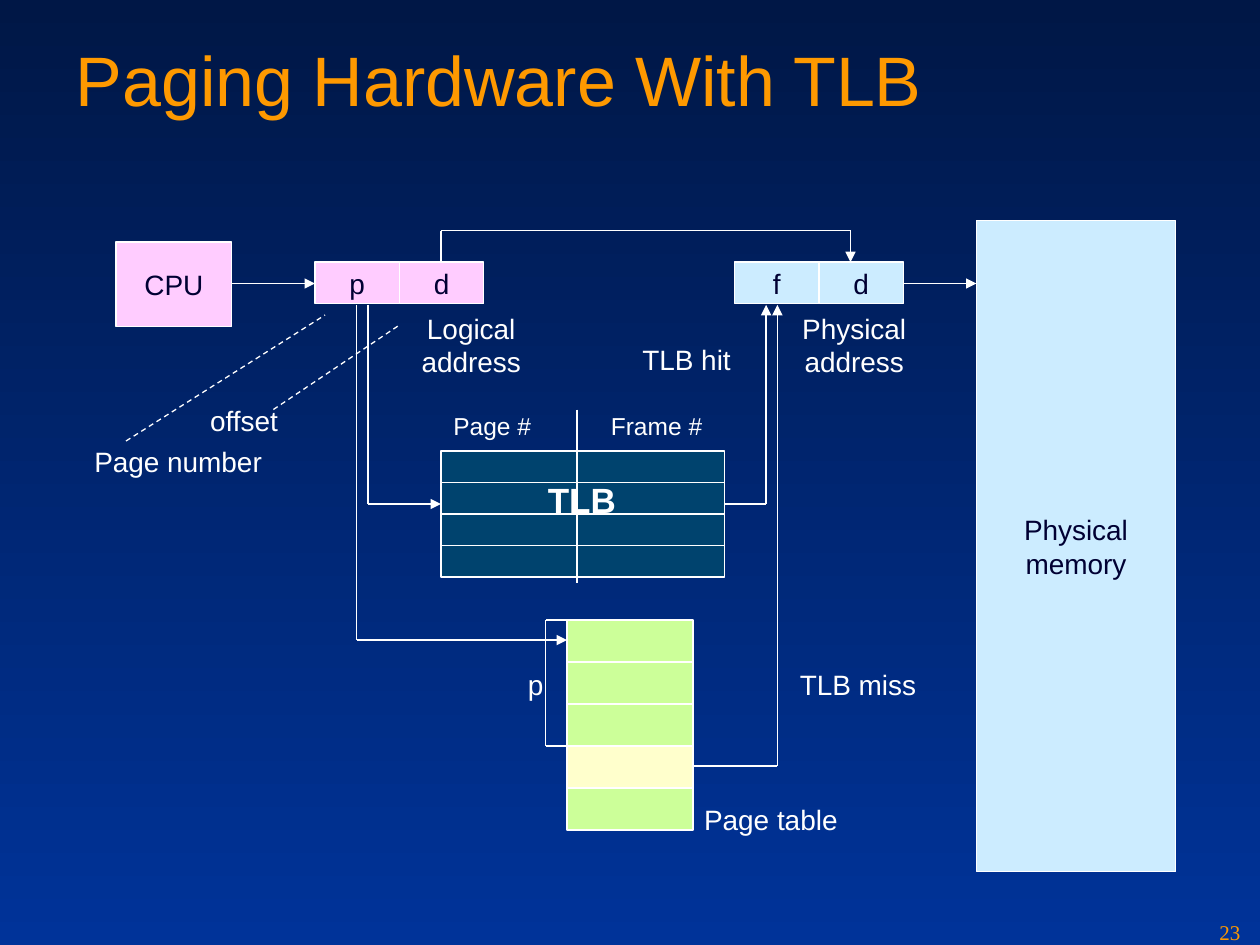
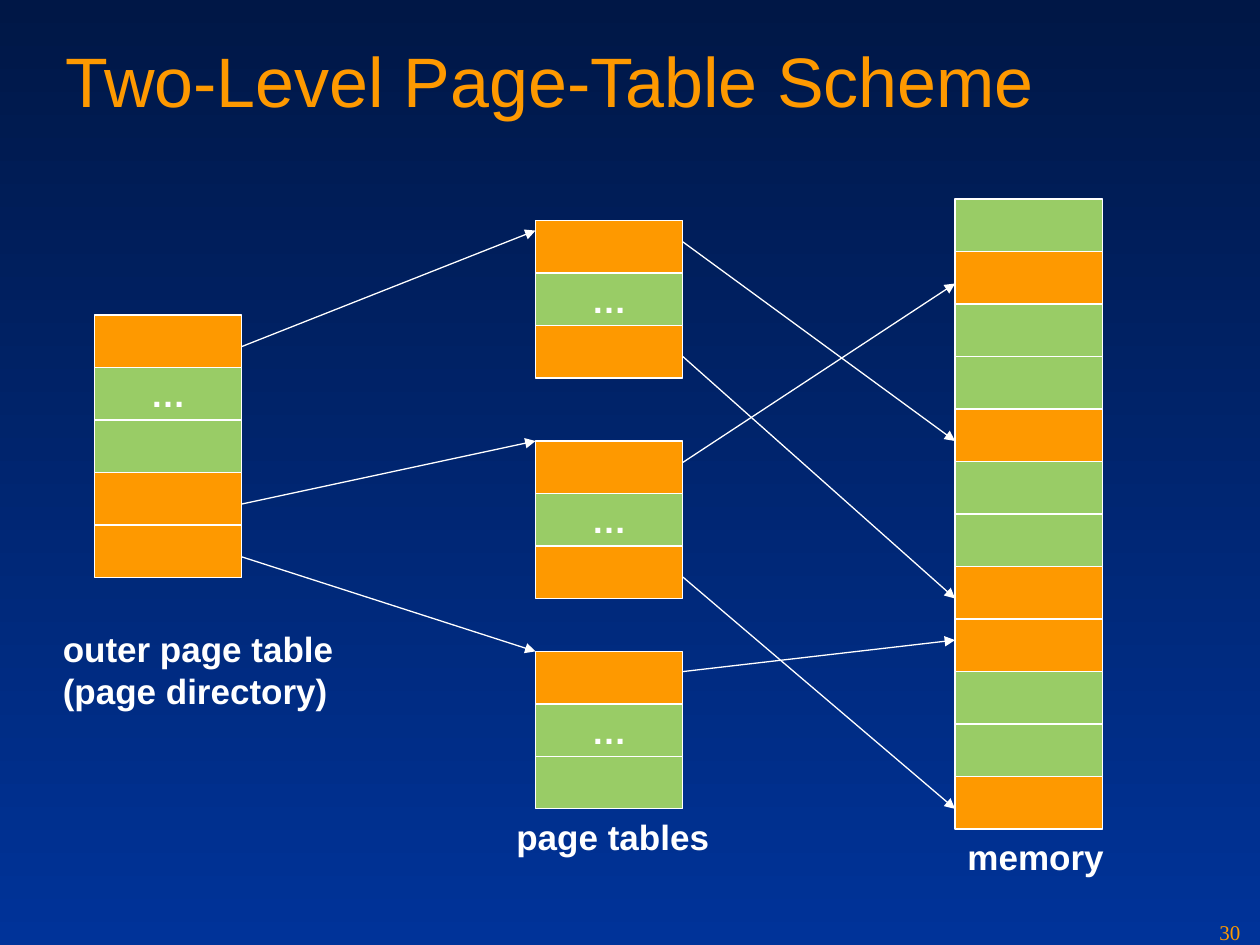
"""Build two slides on paging hardware and two-level page tables."""
import dataclasses
import itertools

import pptx
import pptx.dml.color
import pptx.enum.dml
import pptx.enum.shapes
import pptx.enum.text
import pptx.oxml
import pptx.oxml.ns
import pptx.util

Inches = pptx.util.Inches
MIDDLE = pptx.enum.text.MSO_ANCHOR.MIDDLE
TOP = pptx.enum.text.MSO_ANCHOR.TOP
LEFT = pptx.enum.text.PP_ALIGN.LEFT
CENTER = pptx.enum.text.PP_ALIGN.CENTER


@dataclasses.dataclass(frozen=True)
class Theme:
    """Colours, fonts and type sizes shared by the slides."""

    sky: str = "001746"
    sea: str = "003399"
    orange: str = "FE9900"
    white: str = "FFFFFF"
    ink: str = "000033"
    pink: str = "FFCCFF"
    ice: str = "CCECFF"
    lime: str = "CCFF99"
    cream: str = "FFFFCC"
    teal: str = "00436E"
    green: str = "99CC66"
    sans: str = "Arial"
    serif: str = "Times New Roman"
    title_size: int = 40
    heading_size: int = 20
    label_size: int = 16
    small_size: int = 14
    number_size: int = 12
    line_width: float = 0.75


THEME = Theme()


def rgb(color):
    """Turn a hex string into a colour."""
    return pptx.dml.color.RGBColor.from_string(color)


def write(shape, text, size, color, bold=False, align=LEFT, anchor=TOP, font=THEME.sans, wrap=False):
    """Put one formatted paragraph into a shape."""
    frame = shape.text_frame
    frame.word_wrap = wrap
    frame.vertical_anchor = anchor
    para = frame.paragraphs[0]
    para.text = text
    para.alignment = align
    para.font.name = font
    para.font.size = pptx.util.Pt(size)
    para.font.bold = bold
    para.font.color.rgb = rgb(color)


def add_label(page, text, left, top, width, height=0.37, size=THEME.label_size, **style):
    """Add a white text label."""
    box = page.shapes.add_textbox(Inches(left), Inches(top), Inches(width), Inches(height))
    write(box, text, size, THEME.white, **style)


def add_heading(page, text, left, top, width, height=0.44):
    """Add a bold label."""
    add_label(page, text, left, top, width, height, THEME.heading_size, bold=True)


def add_cell(page, left, top, width, height, fill):
    """Add a filled rectangle with a thin white outline."""
    cell = page.shapes.add_shape(
        pptx.enum.shapes.MSO_SHAPE.RECTANGLE,
        Inches(left), Inches(top), Inches(width), Inches(height))
    cell.shadow.inherit = False
    cell.fill.solid()
    cell.fill.fore_color.rgb = rgb(fill)
    cell.line.color.rgb = rgb(THEME.white)
    cell.line.width = pptx.util.Pt(THEME.line_width)
    return cell


def add_block(page, text, left, top, width, height, fill):
    """Add a cell with a dark centred caption."""
    cell = add_cell(page, left, top, width, height, fill)
    write(cell, text, THEME.label_size, THEME.ink, align=CENTER, anchor=MIDDLE)


def add_column(page, left, top, width, row_height, fills, dots_row=None):
    """Stack cells downwards, with an ellipsis in one of them if asked."""
    for row, fill in enumerate(fills):
        cell = add_cell(page, left, top + row * row_height, width, row_height, fill)
        if row == dots_row:
            write(cell, "…", THEME.heading_size, THEME.white, True, CENTER, MIDDLE)


def add_line(page, start, end, arrow=False, dashed=False):
    """Draw a thin white line, optionally dashed or ending in an arrowhead."""
    line = page.shapes.add_connector(
        pptx.enum.shapes.MSO_CONNECTOR.STRAIGHT, *(Inches(value) for value in (*start, *end)))
    line.line.color.rgb = rgb(THEME.white)
    line.line.width = pptx.util.Pt(THEME.line_width)
    if dashed:
        line.line.dash_style = pptx.enum.dml.MSO_LINE.DASH
    properties = line._element.spPr
    if arrow:
        outline = properties.find(pptx.oxml.ns.qn("a:ln"))
        head = pptx.oxml.parse_xml(f'<a:tailEnd {pptx.oxml.ns.nsdecls("a")} type="triangle"/>')
        outline.append(head)
    properties.append(pptx.oxml.parse_xml(f'<a:effectLst {pptx.oxml.ns.nsdecls("a")}/>'))


def add_route(page, *points, arrow=True):
    """Join points with straight lines, the last one carrying the arrowhead."""
    for start, end in itertools.pairwise(points):
        add_line(page, start, end, arrow=arrow and end == points[-1])


def set_background(deck):
    """Give the master a vertical blue gradient."""
    fill = deck.slide_master.background.fill
    fill.gradient()
    fill.gradient_angle = 270
    for stop, color in zip(fill.gradient_stops, (THEME.sky, THEME.sea)):
        stop.color.rgb = rgb(color)


def add_page(deck, title, number, left, top):
    """Add a slide with its title and page number."""
    page = deck.slides.add_slide(deck.slide_layouts.get_by_name("Title Only"))
    heading = page.shapes.title
    heading.left, heading.top = Inches(left), Inches(top)
    heading.width, heading.height = Inches(9), Inches(1.25)
    heading.text_frame.auto_size = pptx.enum.text.MSO_AUTO_SIZE.NONE
    write(heading, title, THEME.title_size, THEME.orange, wrap=True)
    footer = page.shapes.add_textbox(Inches(9.58), Inches(7.25), Inches(0.42), Inches(0.25))
    write(footer, str(number), THEME.number_size, THEME.orange, font=THEME.serif, wrap=True)
    return page


def add_address(page, left, top, parts, fill, caption, caption_left):
    """Draw a two-part address with its caption below."""
    width, height = 0.67, 0.33
    for index, part in enumerate(parts):
        add_block(page, part, left + index * width, top, width, height, fill)
    add_label(page, caption, left + caption_left, top + 0.34, 1.2, 0.64, align=CENTER)


def add_tlb(page, left, top):
    """Draw the translation look-aside buffer with its column heads."""
    width, row_height, rows = 2.25, 0.25, 4
    add_cell(page, left, top, width, row_height * rows, THEME.teal)
    add_line(page, (left + 1.08, top - 0.33), (left + 1.08, top + 1.05))
    for row in range(1, rows):
        height = top + row * row_height
        add_line(page, (left, height), (left + width, height))
    for text, offset in (("Page #", 0), ("Frame #", 1.25)):
        add_label(page, text, left + offset, top - 0.33, 1, 0.25, THEME.small_size, anchor=MIDDLE)
    add_heading(page, "TLB", left + 0.75, top + 0.17, 0.8)


def add_page_table(page, left, top):
    """Draw the page table and the bracket that marks the index p."""
    row_height, bracket = 1 / 3, left - 0.17
    fills = [THEME.lime] * 3 + [THEME.cream, THEME.lime]
    add_column(page, left, top, 1, row_height, fills)
    add_route(page, (left, top), (bracket, top), (bracket, top + 1), (left, top + 1), arrow=False)
    add_label(page, "p", left - 0.41, top + 0.33, 0.35)
    add_label(page, "Page table", left + 0.99, top + 1.4, 1.4)


def add_field_pointers(page, left, top):
    """Name the two address parts and tie them in with dashed lines."""
    add_line(page, (left + 0.35, top + 0.35), (left + 1.93, top - 0.65), dashed=True)
    add_line(page, (left + 1.52, top + 0.1), (left + 2.52, top - 0.57), dashed=True)
    add_label(page, "Page number", left, top + 0.33, 1.7)
    add_label(page, "offset", left + 0.92, top, 0.9)


def build_paging_hardware(deck):
    """Build the slide on address translation through the TLB."""
    page = add_page(deck, "Paging Hardware With TLB", 23, 0.5, 0.24)
    add_block(page, "CPU", 0.92, 1.92, 0.92, 0.67, THEME.pink)
    add_address(page, 2.5, 2.08, "pd", THEME.pink, "Logical\naddress", 0.64)
    add_address(page, 5.83, 2.08, "fd", THEME.ice, "Physical\naddress", 0.35)
    add_block(page, "Physical\nmemory", 7.75, 1.75, 1.58, 5.17, THEME.ice)
    add_page_table(page, 4.5, 4.92)
    add_tlb(page, 3.5, 3.58)
    add_field_pointers(page, 0.65, 3.15)
    routes = (
        ((1.83, 2.25), (2.5, 2.25)),
        ((7.17, 2.25), (7.75, 2.25)),
        ((3.5, 2.08), (3.5, 1.83), (6.75, 1.83), (6.75, 2.08)),
        ((2.83, 2.42), (2.83, 5.08), (4.5, 5.08)),
        ((5.5, 6.08), (6.17, 6.08), (6.17, 2.42)),
        ((2.92, 2.42), (2.92, 4), (3.5, 4)),
        ((5.75, 4), (6.08, 4), (6.08, 2.42)),
    )
    for route in routes:
        add_route(page, *route)
    add_label(page, "TLB hit", 5, 2.67, 1)
    add_label(page, "TLB miss", 6.25, 5.25, 1.3)


def build_two_level_scheme(deck):
    """Build the slide on the outer page table, page tables and memory."""
    page = add_page(deck, "Two-Level Page-Table Scheme", 30, 0.42, 0.25)
    width, row_height = 1.17, 5 / 12
    outer_left, tables_left, memory_left = 0.75, 4.25, 7.58
    fills = {"o": THEME.orange, "g": THEME.green}
    columns = (
        (outer_left, 2.5, "oggoo", 1),
        (tables_left, 1.75, "ogo", 1),
        (tables_left, 3.5, "ogo", 1),
        (tables_left, 5.17, "ogg", 1),
        (memory_left, 1.58, "goggoggooggo", None),
    )
    for left, top, pattern, dots_row in columns:
        add_column(page, left, top, width, row_height, [fills[key] for key in pattern], dots_row)
    outer_links = ((2.75, 1.83), (4, 3.5), (4.42, 5.17))
    memory_links = ((1.92, 3.5), (2.83, 4.75), (3.67, 2.25), (5.33, 5.08), (4.58, 6.42))
    for left, right, links in (
        (outer_left, tables_left, outer_links),
        (tables_left, memory_left, memory_links),
    ):
        for start, end in links:
            add_line(page, (left + width, start), (right, end), arrow=True)
    add_heading(page, "outer page table\n(page directory)", 0.4, 4.93, 2.5, 0.77)
    add_heading(page, "page tables", 4, 6.42, 1.9)
    add_heading(page, "memory", memory_left, 6.58, 1.4)


def main():
    """Create the deck and save it."""
    deck = pptx.Presentation()
    deck.slide_width, deck.slide_height = Inches(10), Inches(7.5)
    set_background(deck)
    build_paging_hardware(deck)
    build_two_level_scheme(deck)
    deck.save("out.pptx")


if __name__ == "__main__":
    main()
